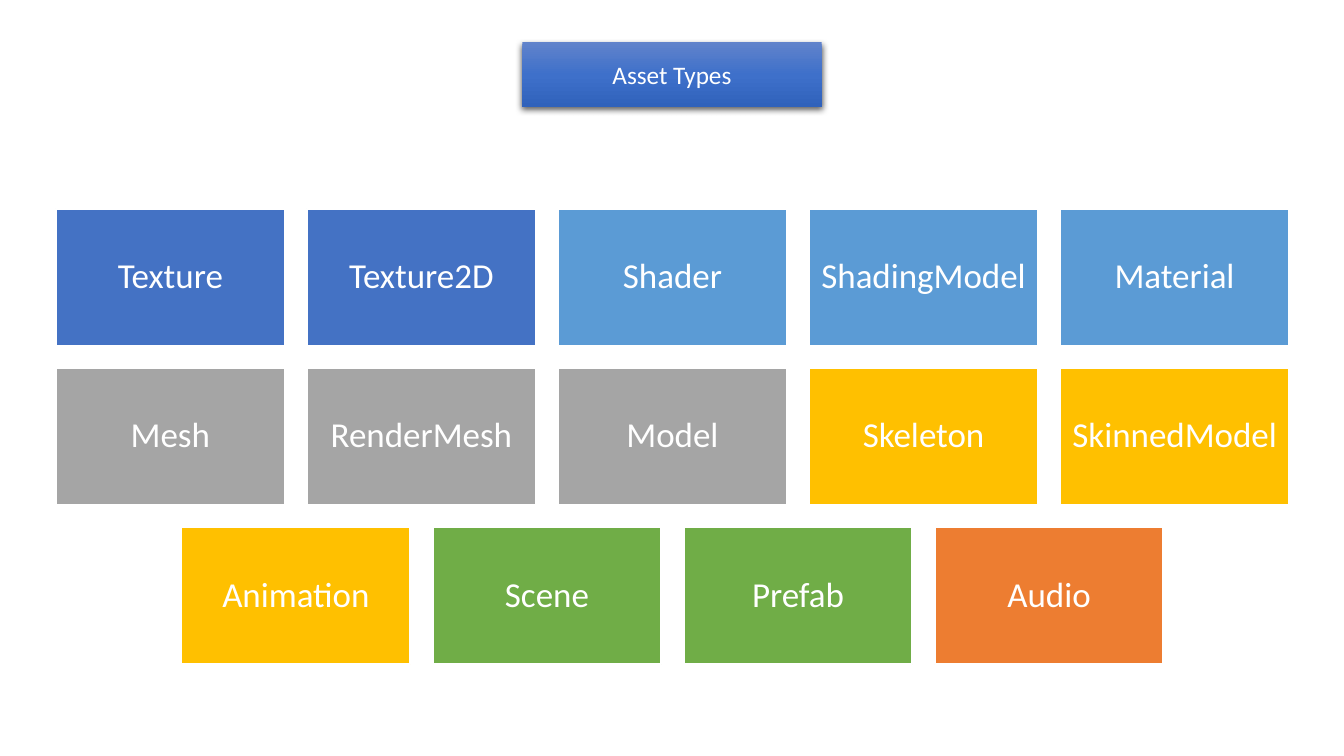
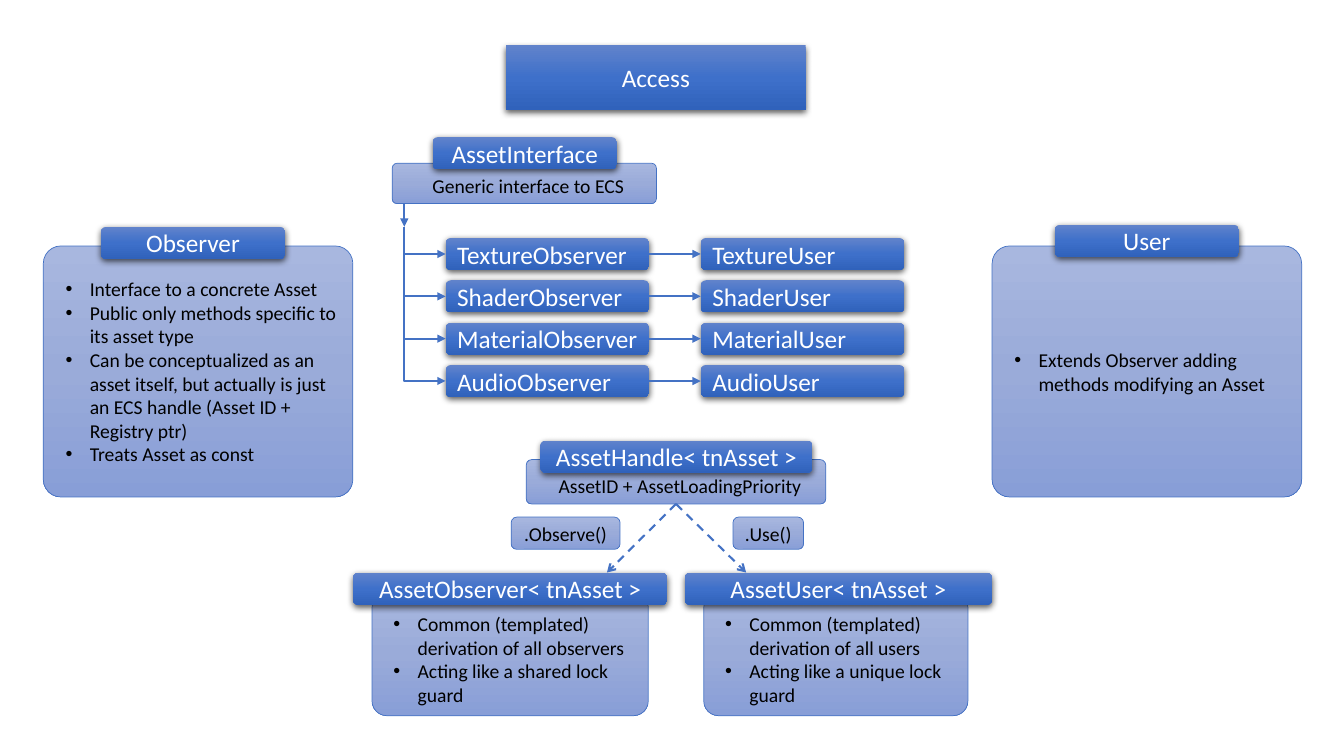
from copy import deepcopy
from dataclasses import dataclass
from typing import NamedTuple

from lxml import etree
from pptx import Presentation, util as u
from pptx.dml import color
from pptx.enum import dml, shapes, text
from pptx.oxml import ns, parse_xml

CENTER, LEFT = text.PP_ALIGN.CENTER, text.PP_ALIGN.LEFT
MIDDLE, BOTTOM = text.MSO_ANCHOR.MIDDLE, text.MSO_ANCHOR.BOTTOM
DEFAULT_ROUNDING = 0.17


@dataclass(frozen=True)
class Skin:
    stops: tuple[str, str, str]
    size: int
    ink: str
    outline: str | None = None
    shadow: bool = False


@dataclass(frozen=True)
class Theme:
    font: str = "Calibri"
    white: str = "FFFFFF"
    blue: str = "4472C4"
    sky: str = "5B9BD5"
    gray: str = "A5A5A5"
    gold: str = "FFC000"
    green: str = "70AD47"
    orange: str = "ED7D31"
    tile_size: int = 25
    heading: Skin = Skin(("6183CB", "3E70CA", "3062BB"), 18, "FFFFFF", shadow=True)
    card: Skin = Skin(("A8B7DF", "9AABD9", "889ED7"), 14, "000000", outline="4472C4")


THEME = Theme()


class Box(NamedTuple):
    left: float
    top: float
    width: float
    height: float


class Label(NamedTuple):
    caption: str
    box: Box
    skin: Skin = THEME.heading
    align: text.PP_ALIGN = CENTER
    anchor: text.MSO_ANCHOR = MIDDLE
    rounding: float = DEFAULT_ROUNDING
    indent: float = 0


class ListCard(NamedTuple):
    box: Box
    anchor: text.MSO_ANCHOR
    rounding: float
    items: tuple[str, ...]


class Tile(NamedTuple):
    name: str
    fill: str


BAR_HEIGHT = 0.32
TITLE_WIDTH, TITLE_HEIGHT = 2.97, 0.64

TILE_ROWS = (
    (Tile("Texture", THEME.blue), Tile("Texture2D", THEME.blue), Tile("Shader", THEME.sky),
     Tile("ShadingModel", THEME.sky), Tile("Material", THEME.sky)),
    (Tile("Mesh", THEME.gray), Tile("RenderMesh", THEME.gray), Tile("Model", THEME.gray),
     Tile("Skeleton", THEME.gold), Tile("SkinnedModel", THEME.gold)),
    (Tile("Animation", THEME.gold), Tile("Scene", THEME.green), Tile("Prefab", THEME.green),
     Tile("Audio", THEME.orange)),
)

LIST_CARDS = (
    ListCard(Box(0.43, 2.44, 3.07, 2.49), MIDDLE, 0.07, (
        "Interface to a concrete Asset",
        "Public only methods specific to its asset type",
        "Can be conceptualized as an asset itself, but actually is just an ECS handle "
        "(Asset ID + Registry ptr)",
        "Treats Asset as const")),
    ListCard(Box(9.84, 2.44, 3.07, 2.49), MIDDLE, 0.07, (
        "Extends Observer adding methods modifying an Asset",)),
    ListCard(Box(3.69, 5.88, 2.74, 1.22), BOTTOM, 0.12, (
        "Common (templated) derivation of all observers",
        "Acting like a shared lock guard")),
    ListCard(Box(6.98, 5.88, 2.62, 1.22), BOTTOM, 0.12, (
        "Common (templated) derivation of all users",
        "Acting like a unique lock guard")),
)

HANDLE_CARD = Label("AssetID + AssetLoadingPriority", Box(5.22, 4.56, 2.97, 0.44),
                    THEME.card, anchor=BOTTOM, rounding=0.12, indent=0.08)
LABELS = (
    Label("Generic interface to ECS", Box(3.89, 1.62, 2.62, 0.4),
          THEME.card, anchor=BOTTOM, rounding=0.12, indent=0.08),
    Label("AssetInterface", Box(4.29, 1.36, 1.83, BAR_HEIGHT)),
    Label("Observer", Box(1, 2.25, 1.83, BAR_HEIGHT)),
    Label("User", Box(10.46, 2.23, 1.83, BAR_HEIGHT)),
    Label("AssetHandle< tnAsset >", Box(5.36, 4.37, 2.7, BAR_HEIGHT)),
    Label("AssetObserver< tnAsset >", Box(3.5, 5.68, 3.12, BAR_HEIGHT)),
    Label("AssetUser< tnAsset >", Box(6.79, 5.68, 3.05, BAR_HEIGHT)),
    Label(".Observe()", Box(5.07, 5.13, 1.08, BAR_HEIGHT), THEME.card),
    Label(".Use()", Box(7.27, 5.13, 0.7, BAR_HEIGHT), THEME.card),
)


def rgb(value: str) -> color.RGBColor:
    return color.RGBColor.from_string(value)


def add_element(parent, tag: str, **attributes: str):
    return etree.SubElement(parent, ns.qn(tag), attributes)


def write(shape, lines: tuple[str, ...], size: int, ink: str,
          align=CENTER, anchor=MIDDLE, indent: float = 0, bullets: bool = False) -> None:
    frame = shape.text_frame
    frame.text = "\n".join(lines)
    frame.word_wrap = True
    frame.auto_size = text.MSO_AUTO_SIZE.NONE
    frame.vertical_anchor = anchor
    frame.margin_left = frame.margin_right = u.Inches(0.1)
    frame.margin_top = frame.margin_bottom = u.Inches(0.05)
    for para in frame.paragraphs:
        properties = para._p.get_or_add_pPr()
        properties.set("marL", str(u.Inches(indent)))
        properties.set("indent", str(u.Inches(-0.24 if bullets else 0)))
        if bullets:
            add_element(properties, "a:buFont", typeface="Arial")
            add_element(properties, "a:buChar", char="•")
        para.alignment = align
        para.space_before = u.Pt(0)
        for span in para.runs:
            span.font.name = THEME.font
            span.font.size = u.Pt(size)
            span.font.bold = False
            span.font.color.rgb = rgb(ink)


def apply_skin(shape, skin: Skin) -> None:
    """Give the shape its three-stop gradient, outline and shadow."""
    shape.fill.gradient()
    shape.fill.gradient_angle = 270
    stop_list = shape._element.spPr.find(".//" + ns.qn("a:gsLst"))
    stop_list.insert(1, deepcopy(stop_list[0]))
    for index, (stop, value) in enumerate(zip(shape.fill.gradient_stops, skin.stops)):
        stop.position = index / 2
        stop.color.rgb = rgb(value)
    if skin.outline:
        shape.line.color.rgb = rgb(skin.outline)
        shape.line.width = u.Pt(0.5)
    else:
        shape.line.fill.background()
    shape.shadow.inherit = False
    if skin.shadow:
        effects = shape._element.spPr.find(ns.qn("a:effectLst"))
        shadow = add_element(effects, "a:outerShdw", blurRad=str(u.Pt(4.5)),
                             dist=str(u.Pt(1.5)), dir="5400000", algn="ctr", rotWithShape="0")
        shade = add_element(shadow, "a:srgbClr", val="000000")
        add_element(shade, "a:alpha", val="63000")


def round_placeholder(shape, box: Box, rounding: float) -> None:
    """Move a placeholder and give it a rounded outline."""
    shape.left, shape.top, shape.width, shape.height = map(u.Inches, box)
    shape._element.spPr.append(parse_xml(
        f'<a:prstGeom {ns.nsdecls("a")} prst="roundRect"><a:avLst>'
        f'<a:gd name="adj" fmla="val {round(rounding * 100000)}"/></a:avLst></a:prstGeom>'))


def add_title(page, caption: str, left: float, top: float) -> None:
    title = page.shapes.title
    round_placeholder(title, Box(left, top, TITLE_WIDTH, TITLE_HEIGHT), DEFAULT_ROUNDING)
    apply_skin(title, THEME.heading)
    write(title, (caption,), THEME.heading.size, THEME.heading.ink)


def add_label(page, label: Label):
    shape = page.shapes.add_shape(shapes.MSO_SHAPE.ROUNDED_RECTANGLE, *map(u.Inches, label.box))
    shape.adjustments[0] = label.rounding
    apply_skin(shape, label.skin)
    write(shape, (label.caption,), label.skin.size, label.skin.ink,
          label.align, label.anchor, label.indent)
    return shape


def add_list_card(placeholder, card: ListCard) -> None:
    round_placeholder(placeholder, card.box, card.rounding)
    apply_skin(placeholder, THEME.card)
    write(placeholder, card.items, THEME.card.size, THEME.card.ink,
          LEFT, card.anchor, indent=0.31, bullets=True)


def add_arrow(page, start: tuple[float, float], end: tuple[float, float],
              kind=shapes.MSO_CONNECTOR.STRAIGHT, head: str = "triangle", dashed: bool = False):
    arrow = page.shapes.add_connector(kind, *map(u.Inches, (*start, *end)))
    arrow.line.color.rgb = rgb(THEME.blue)
    arrow.line.width = u.Pt(1.5)
    if dashed:
        arrow.line.dash_style = dml.MSO_LINE.DASH
    properties = arrow._element.spPr
    add_element(properties.find(ns.qn("a:ln")), "a:tailEnd", type=head)
    add_element(properties, "a:effectLst")
    if kind == shapes.MSO_CONNECTOR.ELBOW:
        guides = properties.find(".//" + ns.qn("a:avLst"))
        add_element(guides, "a:gd", name="adj1", fmla="val 0")
    return arrow


def add_tile(page, tile: Tile, box: Box) -> None:
    shape = page.shapes.add_shape(shapes.MSO_SHAPE.RECTANGLE, *map(u.Inches, box))
    shape.fill.solid()
    shape.fill.fore_color.rgb = rgb(tile.fill)
    shape.line.color.rgb = rgb(THEME.white)
    shape.line.width = u.Pt(1.5)
    shape.shadow.inherit = False
    write(shape, (tile.name,), THEME.tile_size, THEME.white)
    shape.text_frame.paragraphs[0].line_spacing = 0.9


def build_asset_types(deck) -> None:
    page = deck.slides.add_slide(deck.slide_layouts.get_by_name("Title Only"))
    add_title(page, "Asset Types", 5.18, 0.42)
    width, height, gap, middle = 2.27, 1.36, 0.22, 6.67
    for row, tiles in enumerate(TILE_ROWS):
        left = middle - (len(tiles) * (width + gap) - gap) / 2
        top = 2.07 + row * (height + gap)
        for column, tile in enumerate(tiles):
            add_tile(page, tile, Box(left + column * (width + gap), top, width, height))


def add_asset_rows(page) -> None:
    """Draw each observer with its branch from the interface and its user."""
    trunk, branch_top, width = 4.01, 2.25, 2.02
    add_arrow(page, (trunk, 2.02), (trunk, branch_top))
    for row, asset in enumerate(("Texture", "Shader", "Material", "Audio")):
        top = 2.36 + 0.42 * row
        middle = top + BAR_HEIGHT / 2
        observer, user = (
            add_label(page, Label(asset + role, Box(left, top, width, BAR_HEIGHT), align=LEFT))
            for role, left in (("Observer", 4.42), ("User", 6.95)))
        add_arrow(page, (trunk, branch_top), (4.42, middle), shapes.MSO_CONNECTOR.ELBOW)
        link = add_arrow(page, (6.44, middle), (6.95, middle))
        link.begin_connect(observer, 3)
        link.end_connect(user, 1)


def build_access(deck) -> None:
    page = deck.slides.add_slide(deck.slide_layouts.get_by_name("Comparison"))
    add_title(page, "Access", 5.02, 0.45)
    for placeholder, card in zip(list(page.placeholders)[1:], LIST_CARDS):
        add_list_card(placeholder, card)
    handle = add_label(page, HANDLE_CARD)
    for label in LABELS:
        add_label(page, label)
    add_asset_rows(page)
    for tip in (6.02, 7.4):
        arrow = add_arrow(page, (6.71, 5), (tip, 5.68), head="arrow", dashed=True)
        arrow.begin_connect(handle, 2)


def main() -> None:
    deck = Presentation()
    deck.slide_width, deck.slide_height = u.Inches(13.33), u.Inches(7.5)
    build_asset_types(deck)
    build_access(deck)
    deck.save("out.pptx")


if __name__ == "__main__":
    main()
